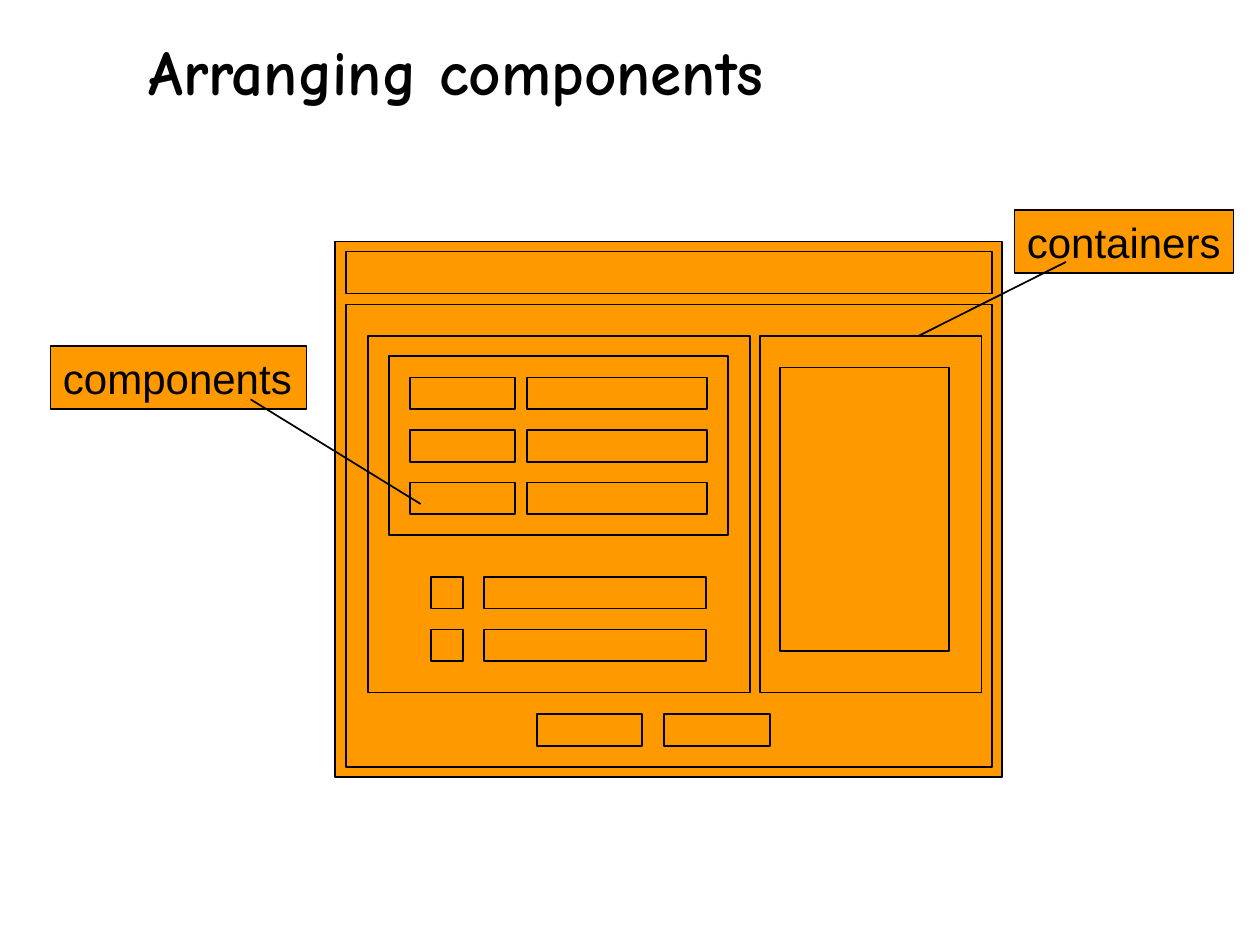
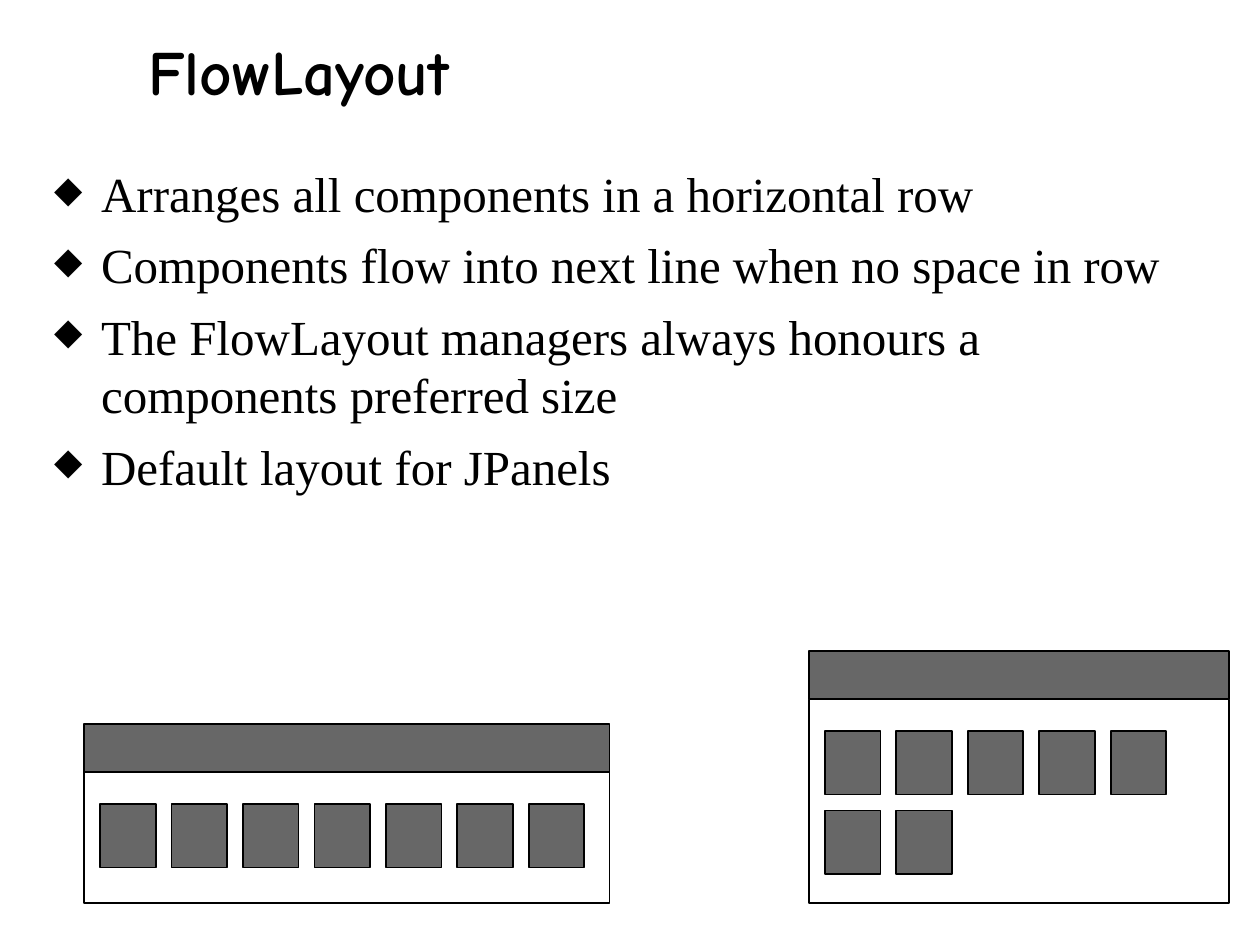
import pptx
import pptx.util
import pptx.dml.color
import pptx.enum.shapes
import pptx.enum.text
import pptx.oxml
from pptx.oxml.ns import qn

Cm = pptx.util.Cm
Pt = pptx.util.Pt
ANCHOR = pptx.enum.text.MSO_ANCHOR

BLACK, ORANGE, GREY = "000000", "FF9900", "676767"
HEAD, BODY, LABEL = "Comic Neue", "Times New Roman", "Arial"
TITLE = (2.74, 0.2, 22.22, 2.11)


def color(text):
    return pptx.dml.color.RGBColor.from_string(text)


def lengths(box):
    return [Cm(value) for value in box]


def rect(shapes, box, fill=None):
    shape = shapes.add_shape(pptx.enum.shapes.MSO_SHAPE.RECTANGLE, *lengths(box))
    shape.shadow.inherit = False
    if fill:
        shape.fill.solid()
        shape.fill.fore_color.rgb = color(fill)
    else:
        shape.fill.background()
    shape.line.color.rgb = color(BLACK)
    shape.line.width = Pt(1)
    return shape


def line(shapes, start, end):
    link = shapes.add_connector(pptx.enum.shapes.MSO_CONNECTOR.STRAIGHT,
                                *lengths(start + end))
    link.line.color.rgb = color(BLACK)
    link.line.width = Pt(1)
    pptx.oxml.xmlchemy.OxmlElement
    link._element.spPr.append(pptx.oxml.xmlchemy.OxmlElement("a:effectLst"))


def bullet(para, indent=0.95):
    props = para._p.get_or_add_pPr()
    props.set("marL", str(Cm(indent)))
    props.set("indent", str(-Cm(indent)))
    for tag, key, value in (("a:buSzPct", "val", "75000"),
                            ("a:buChar", "char", "◆")):
        item = pptx.oxml.xmlchemy.OxmlElement(tag)
        item.set(key, value)
        props.append(item)


def write(shape, *texts, size, font, bold=False, anchor=ANCHOR.TOP,
          wrap=True, gap=0, marks=False):
    frame = shape.text_frame
    frame.word_wrap = wrap
    frame.vertical_anchor = anchor
    for index, text in enumerate(texts):
        para = frame.paragraphs[0] if index == 0 else frame.add_paragraph()
        para.alignment = pptx.enum.text.PP_ALIGN.LEFT
        if index:
            para.space_before = Pt(gap)
        if marks:
            bullet(para)
        run = para.add_run()
        run.text = text
        run.font.name, run.font.size, run.font.bold = font, Pt(size), bold
        run.font.color.rgb = color(BLACK)


def page(deck, title):
    slide = deck.slides.add_slide(deck.slide_layouts[6])
    write(slide.shapes.add_textbox(*lengths(TITLE)), title,
          size=36, font=HEAD, bold=True, anchor=ANCHOR.BOTTOM)
    return slide


def window(shapes, box):
    left, top, width, height = box

    def part(x, y, w, h):
        rect(shapes, (left + x, top + y, w, h), ORANGE)

    # Frame, title bar and content pane
    part(0, 0, width, height)
    part(0.22, 0.2, width - 0.42, 0.85)
    part(0.22, 1.27, width - 0.42, 9.32)
    # Left panel, right panel and form
    part(0.66, 1.9, 7.7, 7.19)
    part(8.56, 1.9, 4.47, 7.19)
    part(1.09, 2.31, 6.83, 3.61)
    # Buttons
    for col in range(2):
        part(4.06 + 2.57 * col, 9.53, 2.13, 0.64)
    # Labels with fields
    for row in range(3):
        y = 2.74 + 1.06 * row
        part(1.5, y, 2.13, 0.64)
        part(3.86, y, 3.63, 0.64)
    # Check boxes with captions
    for row in range(2):
        y = 6.76 + 1.06 * row
        part(1.93, y, 0.64, 0.64)
        part(3, y, 4.47, 0.64)
    # Canvas
    part(8.97, 2.54, 3.4, 5.72)


def callout(shapes, text, box, start, end):
    write(rect(shapes, box, ORANGE), text, size=24, font=LABEL, wrap=False)
    line(shapes, start, end)


def flow(shapes, box, count, bar=0.97, wide=1.12, high=1.28, gap=0.32):
    left, top, width, height = box
    # Tiles wrap to the next row when the frame is full
    cols = int((width - gap) // (wide + gap))
    for index in range(count):
        row, col = divmod(index, cols)
        rect(shapes, (left + gap + col * (wide + gap),
                      top + bar + 2 * gap + row * (high + gap),
                      wide, high), GREY)
    # Frame and title bar
    rect(shapes, (left, top + bar, width, height - bar))
    rect(shapes, (left, top, width, bar), GREY)


def arrange(deck):
    slide = page(deck, "Arranging components")
    shapes = slide.shapes.add_group_shape().shapes
    window(shapes, (6.76, 4.87, 13.44, 10.8))
    callout(shapes, "containers", (20.45, 4.24, 4.42, 1.27),
            (21.49, 5.28), (18.52, 6.77))
    callout(shapes, "components", (1.02, 6.98, 5.16, 1.27),
            (5.05, 8.05), (8.48, 10.16))


def layout(deck):
    slide = page(deck, "FlowLayout")
    write(slide.shapes.add_textbox(*lengths((0.84, 3.18, 22.86, 9.09))),
          "Arranges all components in a horizontal row",
          "Components flow into next line when no space in row",
          "The FlowLayout managers always honours a components preferred size",
          "Default layout for JPanels",
          size=28, font=BODY, gap=7, marks=True)
    # The same seven tiles in a wide and a narrow frame
    for box in ((1.7, 14.6, 10.59, 3.61), (16.31, 13.13, 8.46, 5.08)):
        flow(slide.shapes.add_group_shape().shapes, box, 7)


def main():
    deck = pptx.Presentation()
    deck.slide_width, deck.slide_height = Cm(25.4), Cm(19.05)
    arrange(deck)
    layout(deck)
    deck.save("out.pptx")


if __name__ == "__main__":
    main()
